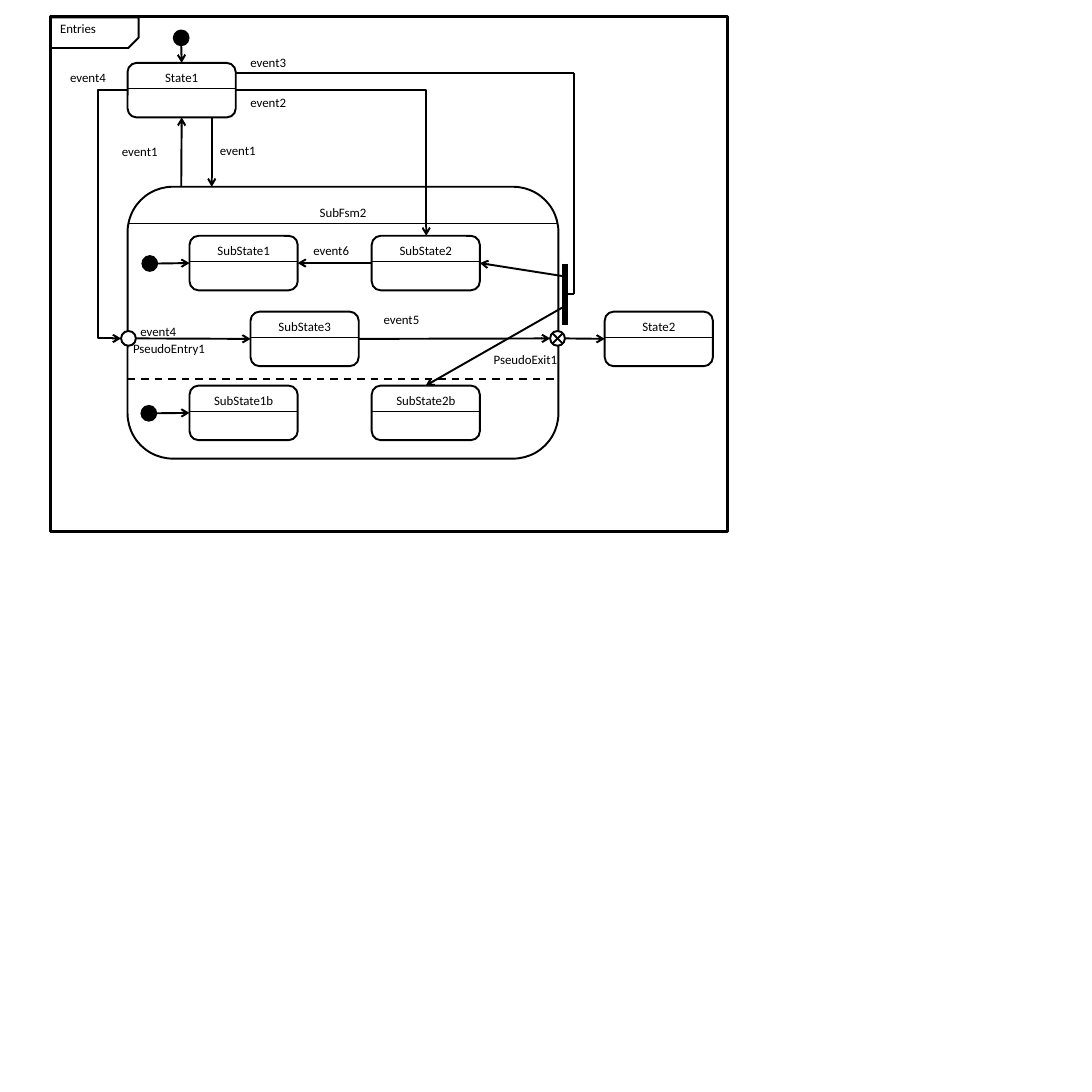
from dataclasses import dataclass
from typing import Optional

from lxml.etree import SubElement
from pptx import Presentation
from pptx.dml.color import RGBColor
from pptx.enum.dml import MSO_LINE
from pptx.enum.shapes import MSO_CONNECTOR, MSO_SHAPE
from pptx.enum.text import MSO_ANCHOR, MSO_AUTO_SIZE, PP_ALIGN
from pptx.oxml.ns import qn
from pptx.shapes.autoshape import Shape
from pptx.shapes.connector import Connector
from pptx.slide import Slide
from pptx.text.text import TextFrame
from pptx.util import Inches, Pt

COLORS = {"ink": "000000", "paper": "FFFFFF"}
FONT = "Calibri"
STATE_WIDTH, STATE_HEIGHT, HEADER_HEIGHT = 1.17, 0.59, 0.28
RADIUS = 0.08
TOP, LEFT, BOTTOM, RIGHT = range(4)
FRAME_X, FRAME_Y = 0.55, 0.18
FSM_X, FSM_Y, FSM_WIDTH, FSM_HEIGHT = 1.38, 2.02, 4.66, 2.94
FSM_RIGHT = FSM_X + FSM_WIDTH
ENTRY_X, EXIT_X, PSEUDO_Y = 1.39, 6.03, 3.66
FORK_X, FORK_Y = 6.11, 3.18
EVENT3_X, EVENT3_Y = 6.21, 0.79

Point = tuple[float, float]


@dataclass(frozen=True)
class State:
    name: str
    x: float
    y: float


@dataclass(frozen=True)
class Label:
    text: str
    x: float
    y: float
    width: float = 0.72


@dataclass(frozen=True)
class Transition:
    """A straight arrow; a named state side overrides the nearby point."""
    start: Point
    end: Point
    source: Optional[tuple[str, int]] = None
    target: Optional[tuple[str, int]] = None


STATES = [
    State("State1", 1.38, 0.68),
    State("State2", 6.54, 3.37),
    State("SubState3", 2.71, 3.37),
    State("SubState1", 2.05, 2.55),
    State("SubState1b", 2.05, 4.17),
    State("SubState2", 4.02, 2.55),
    State("SubState2b", 4.02, 4.17),
]

LABELS = [
    Label("PseudoEntry1", 1.34, 3.64, 1.61),
    Label("PseudoExit1", 5.24, 3.75, 1.61),
    Label("event4", 1.42, 3.45),
    Label("event5", 4.05, 3.32),
    Label("event6", 3.29, 2.58),
    Label("event2", 2.61, 0.97),
    Label("event4", 0.66, 0.7),
    Label("event3", 2.61, 0.54),
    Label("event1", 1.22, 1.51),
    Label("event1", 2.28, 1.49),
]

INITIAL_STATES = [(1.96, 0.41), (1.62, 2.85), (1.61, 4.47)]

TRANSITIONS = [
    Transition((1.96, 0.48), (1.96, 0.68), target=("State1", TOP)),
    Transition((1.7, 2.85), (2.05, 2.85), target=("SubState1", LEFT)),
    Transition((1.68, 4.47), (2.05, 4.47), target=("SubState1b", LEFT)),
    Transition((4.02, 2.85), (3.22, 2.85), ("SubState2", LEFT), ("SubState1", RIGHT)),
    Transition((ENTRY_X + RADIUS, PSEUDO_Y), (2.71, PSEUDO_Y), target=("SubState3", LEFT)),
    Transition((3.88, PSEUDO_Y), (EXIT_X - RADIUS, PSEUDO_Y), source=("SubState3", RIGHT)),
    Transition((EXIT_X + RADIUS, PSEUDO_Y), (6.54, PSEUDO_Y), target=("State2", LEFT)),
    Transition((FORK_X, 2.99), (5.19, 2.85), target=("SubState2", RIGHT)),
    Transition((FORK_X, 3.31), (4.61, 4.17), target=("SubState2b", TOP)),
    Transition((1.96, FSM_Y), (1.96, 1.27), target=("State1", BOTTOM)),
    Transition((2.29, 1.27), (2.29, FSM_Y)),
]


def color(name: str) -> RGBColor:
    return RGBColor.from_string(COLORS[name])


def write(frame: TextFrame, text: str, *, size: float = 10,
          align: PP_ALIGN = PP_ALIGN.LEFT,
          auto_size: MSO_AUTO_SIZE = MSO_AUTO_SIZE.NONE) -> None:
    frame.word_wrap = True
    frame.auto_size = auto_size
    frame.vertical_anchor = MSO_ANCHOR.TOP
    paragraph = frame.paragraphs[0]
    paragraph.alignment = align
    paragraph.line_spacing = 1.0
    paragraph.space_before = Pt(0)
    run = paragraph.add_run()
    run.text = text
    run.font.name = FONT
    run.font.size = Pt(size)
    run.font.color.rgb = color("ink")


def add_outline(slide: Slide, kind: MSO_SHAPE, x: float, y: float, width: float,
                height: float, *, fill: Optional[str] = None,
                weight: float = 1.5) -> Shape:
    shape = slide.shapes.add_shape(
        kind, Inches(x), Inches(y), Inches(width), Inches(height))
    shape.shadow.inherit = False
    if fill:
        shape.fill.solid()
        shape.fill.fore_color.rgb = color(fill)
    else:
        shape.fill.background()
    shape.line.color.rgb = color("ink")
    shape.line.width = Pt(weight)
    return shape


def add_circle(slide: Slide, center: Point, fill: str) -> Shape:
    x, y = center
    return add_outline(slide, MSO_SHAPE.FLOWCHART_CONNECTOR, x - RADIUS, y - RADIUS,
                       2 * RADIUS, 2 * RADIUS, fill=fill)


def add_line(slide: Slide, start: Point, end: Point, *, weight: float = 1.5,
             arrow: bool = False, dashed: bool = False,
             kind: MSO_CONNECTOR = MSO_CONNECTOR.STRAIGHT) -> Connector:
    line = slide.shapes.add_connector(kind, *map(Inches, (*start, *end)))
    line.line.color.rgb = color("ink")
    line.line.width = Pt(weight)
    if dashed:
        line.line.dash_style = MSO_LINE.DASH
    properties = line._element.spPr
    if arrow:
        SubElement(properties.find(qn("a:ln")), qn("a:tailEnd"), type="arrow")
    SubElement(properties, qn("a:effectLst"))
    return line


def add_elbow(slide: Slide, start: Point, end: Point, *, preset: str,
              bend: Optional[int] = None) -> None:
    """Add a bent arrow; bend is the turn's place in 1/100000 of the width."""
    elbow = add_line(slide, start, end, arrow=True, kind=MSO_CONNECTOR.ELBOW)
    geometry = elbow._element.spPr.find(qn("a:prstGeom"))
    geometry.set("prst", preset)
    if bend is not None:
        SubElement(geometry.find(qn("a:avLst")), qn("a:gd"),
                   name="adj1", fmla=f"val {bend}")


def add_state(slide: Slide, state: State) -> Shape:
    box = add_outline(slide, MSO_SHAPE.ROUNDED_RECTANGLE, state.x, state.y,
                      STATE_WIDTH, STATE_HEIGHT)
    write(box.text_frame, state.name, align=PP_ALIGN.CENTER)
    header_y = state.y + HEADER_HEIGHT
    add_line(slide, (state.x, header_y), (state.x + STATE_WIDTH, header_y), weight=1)
    return box


def add_label(slide: Slide, label: Label) -> None:
    box = slide.shapes.add_textbox(
        *map(Inches, (label.x, label.y, label.width, 0.27)))
    write(box.text_frame, label.text, auto_size=MSO_AUTO_SIZE.SHAPE_TO_FIT_TEXT)


def add_transition(slide: Slide, transition: Transition, boxes: dict[str, Shape]) -> None:
    arrow = add_line(slide, transition.start, transition.end, arrow=True)
    if transition.source:
        name, side = transition.source
        arrow.begin_connect(boxes[name], side)
    if transition.target:
        name, side = transition.target
        arrow.end_connect(boxes[name], side)


def add_frame(slide: Slide) -> None:
    add_outline(slide, MSO_SHAPE.RECTANGLE, FRAME_X, FRAME_Y, 7.32, 5.57, weight=2.25)
    tab = add_outline(slide, MSO_SHAPE.SNIP_1_RECTANGLE, FRAME_X, 0.19, 0.95, 0.33)
    tab.adjustments[0] = 0.343
    tab._element.spPr.xfrm.set("flipV", "1")
    title = slide.shapes.title
    title.left, title.top, title.width, title.height = map(
        Inches, (FRAME_X, 0.17, 1.13, 0.27))
    write(title.text_frame, "Entries")


def add_sub_machine(slide: Slide) -> None:
    region = add_outline(slide, MSO_SHAPE.ROUNDED_RECTANGLE, FSM_X, FSM_Y,
                         FSM_WIDTH, FSM_HEIGHT)
    write(region.text_frame, "SubFsm2", align=PP_ALIGN.CENTER)
    add_line(slide, (FSM_X, 2.42), (FSM_RIGHT, 2.42), weight=1)
    add_line(slide, (FSM_X, 4.1), (FSM_RIGHT, 4.1), dashed=True)
    add_circle(slide, (ENTRY_X, PSEUDO_Y), "paper")
    reach = 0.055
    exit_parts = [add_circle(slide, (EXIT_X, PSEUDO_Y), "paper")]
    for slope in (1, -1):
        exit_parts.append(add_line(
            slide, (EXIT_X - reach, PSEUDO_Y - slope * reach),
            (EXIT_X + reach, PSEUDO_Y + slope * reach)))
    slide.shapes.add_group_shape(exit_parts)


def add_fork(slide: Slide) -> None:
    add_line(slide, (FORK_X, 2.85), (FORK_X, 3.51), weight=4.5)
    event3_route = [(2.55, EVENT3_Y), (EVENT3_X, EVENT3_Y),
                    (EVENT3_X, FORK_Y), (FORK_X, FORK_Y)]
    for start, end in zip(event3_route, event3_route[1:]):
        add_line(slide, start, end)


def main() -> None:
    deck = Presentation()
    deck.slide_width = deck.slide_height = Inches(11.81)
    slide = deck.slides.add_slide(deck.slide_layouts[5])
    add_frame(slide)
    add_sub_machine(slide)
    boxes = {state.name: add_state(slide, state) for state in STATES}
    for center in INITIAL_STATES:
        add_circle(slide, center, "ink")
    add_fork(slide)
    for transition in TRANSITIONS:
        add_transition(slide, transition, boxes)
    add_elbow(slide, (1.38, 0.97), (1.31, PSEUDO_Y), preset="bentConnector3", bend=455400)
    add_elbow(slide, (2.55, 0.97), (4.61, 2.55), preset="bentConnector2")
    for label in LABELS:
        add_label(slide, label)
    deck.save("out.pptx")


if __name__ == "__main__":
    main()
